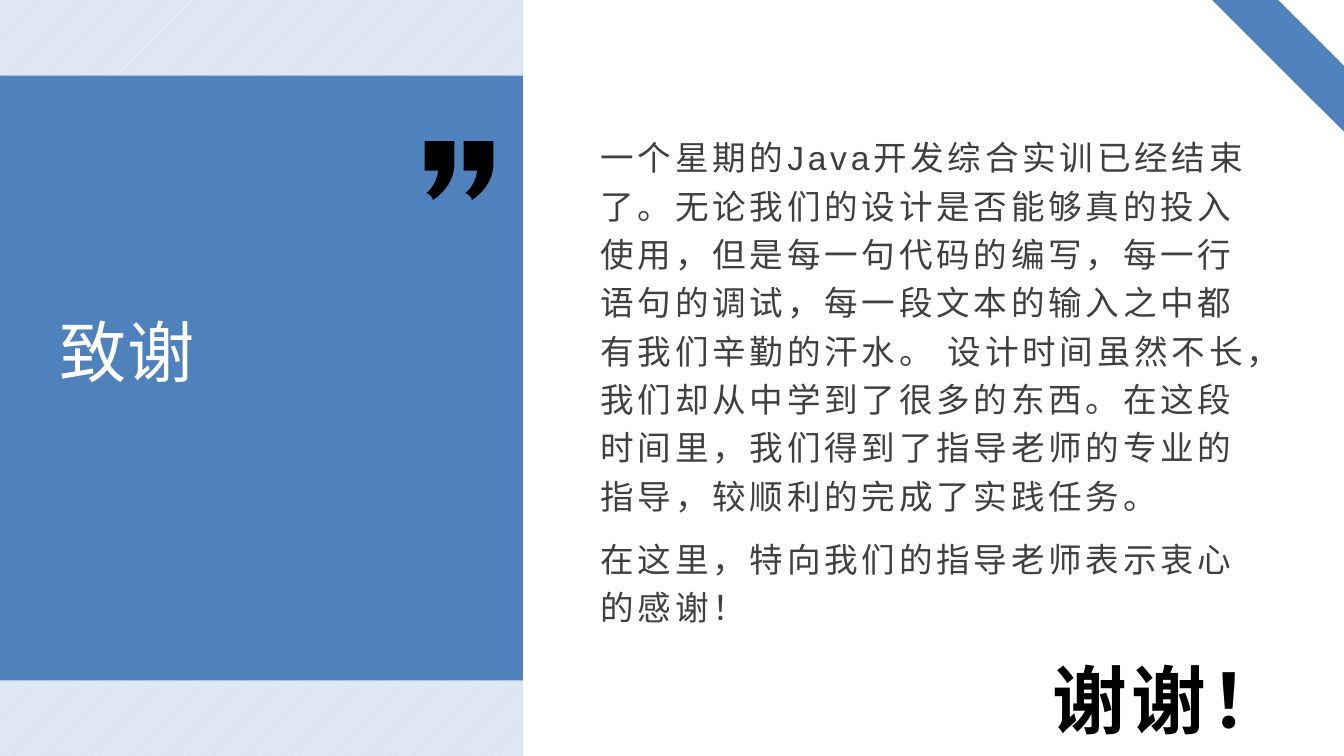
import pptx
import pptx.dml.color
import pptx.enum.dml
import pptx.enum.shapes
import pptx.enum.text
import pptx.util

Inches, Pt = pptx.util.Inches, pptx.util.Pt
SHAPE = pptx.enum.shapes.MSO_SHAPE
ANCHOR = pptx.enum.text.MSO_ANCHOR

COLORS = {"blue": "4F81BD", "pale": "DCE6F2", "stripe": "F2F2F2",
          "white": "FFFFFF", "black": "000000", "gray": "404040"}
FONT = "Arial"
TITLE = ["致谢"]
CLOSING = ["谢谢！"]
BODY = [
    "一个星期的Java开发综合实训已经结束了。无论我们的设计是否能够真的投入使用，"
    "但是每一句代码的编写，每一行语句的调试，每一段文本的输入之中都有我们辛勤的汗水。 "
    "设计时间虽然不长，我们却从中学到了很多的东西。在这段时间里，"
    "我们得到了指导老师的专业的指导，较顺利的完成了实践任务。",
    "在这里，特向我们的指导老师表示衷心的感谢！",
]
SLIDE_W = 10
SLIDE_H = SLIDE_W * 9 / 16
PANEL_W = 3.89
QUOTE_LEFTS, QUOTE_TOP = (3.16, 3.45), 1.05
# One quote mark, relative to its top left: a pair is a line, three pairs a curve.
QUOTE_MARK = [
    [(0.06, 0.44)], [(0.06, 0.43)],
    [(0.05, 0.41), (0.04, 0.4), (0.02, 0.39)],
    [(0.01, 0.39)],
    [(0.01, 0.39), (0.09, 0.33), (0.1, 0.22)],
    [(0, 0.22)], [(0, 0)], [(0.22, 0)], [(0.22, 0.19)],
    [(0.21, 0.35), (0.06, 0.44), (0.06, 0.44)],
]


def rgb(name):
    return pptx.dml.color.RGBColor.from_string(COLORS[name])


def paint(sp, color):
    sp.shadow.inherit = False
    sp.line.fill.background()
    sp.fill.solid()
    sp.fill.fore_color.rgb = rgb(color)
    return sp


def add_shape(s, kind, box, color):
    return paint(s.shapes.add_shape(kind, *map(Inches, box)), color)


def write(sp, paragraphs, size, color, bold=False, spacing=0, anchor=ANCHOR.TOP,
          inset=(0.07, 0.04), line_spacing=1, space_after=0):
    tf = sp.text_frame
    tf.word_wrap = True
    tf.auto_size = pptx.enum.text.MSO_AUTO_SIZE.NONE
    tf.vertical_anchor = anchor
    tf.margin_left = tf.margin_right = Inches(inset[0])
    tf.margin_top = tf.margin_bottom = Inches(inset[1])
    for i, text in enumerate(paragraphs):
        p = tf.add_paragraph() if i else tf.paragraphs[0]
        p.alignment = pptx.enum.text.PP_ALIGN.LEFT
        p.line_spacing = line_spacing
        p.space_before, p.space_after = Pt(0), Pt(space_after)
        r = p.add_run()
        r.text = text
        r.font.name, r.font.size, r.font.bold = FONT, Pt(size), bold
        r.font.color.rgb = rgb(color)
        r.font._element.set("spc", str(round(spacing * 100)))


def outline(segments, steps=12):
    """Turn lines and cubic curves into a list of points."""
    points = []
    for seg in segments:
        if len(seg) == 1:
            points += seg
            continue
        a, (b, c, d) = points[-1], seg
        for t in (i / steps for i in range(1, steps + 1)):
            u = 1 - t
            points.append(tuple(
                u**3 * a[k] + 3 * u * u * t * b[k] + 3 * u * t * t * c[k] + t**3 * d[k]
                for k in (0, 1)))
    return points


def add_quote_mark(s, left, top):
    points = [(Inches(left + x), Inches(top + y)) for x, y in outline(QUOTE_MARK)]
    builder = s.shapes.build_freeform(*points[0])
    builder.add_line_segments(points[1:], close=True)
    paint(builder.convert_to_shape(), "black")


def main():
    prs = pptx.Presentation()
    prs.slide_width, prs.slide_height = Inches(SLIDE_W), Inches(SLIDE_H)
    s = prs.slides.add_slide(prs.slide_layouts[5])

    panel = add_shape(s, SHAPE.RECTANGLE, (0, 0, PANEL_W, SLIDE_H), "pale")
    panel.fill.patterned()
    panel.fill.pattern = pptx.enum.dml.MSO_PATTERN.WIDE_UPWARD_DIAGONAL
    panel.fill.fore_color.rgb = rgb("stripe")
    panel.fill.back_color.rgb = rgb("pale")
    # The blue band leaves a tenth of the slide height above and below.
    add_shape(s, SHAPE.RECTANGLE, (0, SLIDE_H / 10, PANEL_W, SLIDE_H * 0.8), "blue")

    title = s.shapes.title
    title.left, title.top, title.width, title.height = map(Inches, (0.37, 2.27, 2.89, 0.37))
    write(title, TITLE, 36, "white", spacing=0.8)
    s.shapes._spTree.append(title._element)  # in front of the panel

    closing = s.shapes.add_textbox(*map(Inches, (7.76, 3.84, 2.89, 1.73)))
    write(closing, CLOSING, 40, "black", bold=True, spacing=2.4, anchor=ANCHOR.BOTTOM)
    body = s.shapes.add_textbox(*map(Inches, (4.37, 0.62, 5.03, 4.39)))
    write(body, BODY, 18, "gray", spacing=2, anchor=ANCHOR.MIDDLE,
          inset=(0.1, 0.05), line_spacing=1.2, space_after=8)

    corner = add_shape(s, SHAPE.DIAGONAL_STRIPE, (9.02, 0, 0.98, 0.98), "blue")
    corner._element.spPr.xfrm.set("flipH", "1")
    for left in QUOTE_LEFTS:
        add_quote_mark(s, left, QUOTE_TOP)

    prs.save("out.pptx")


if __name__ == "__main__":
    main()
